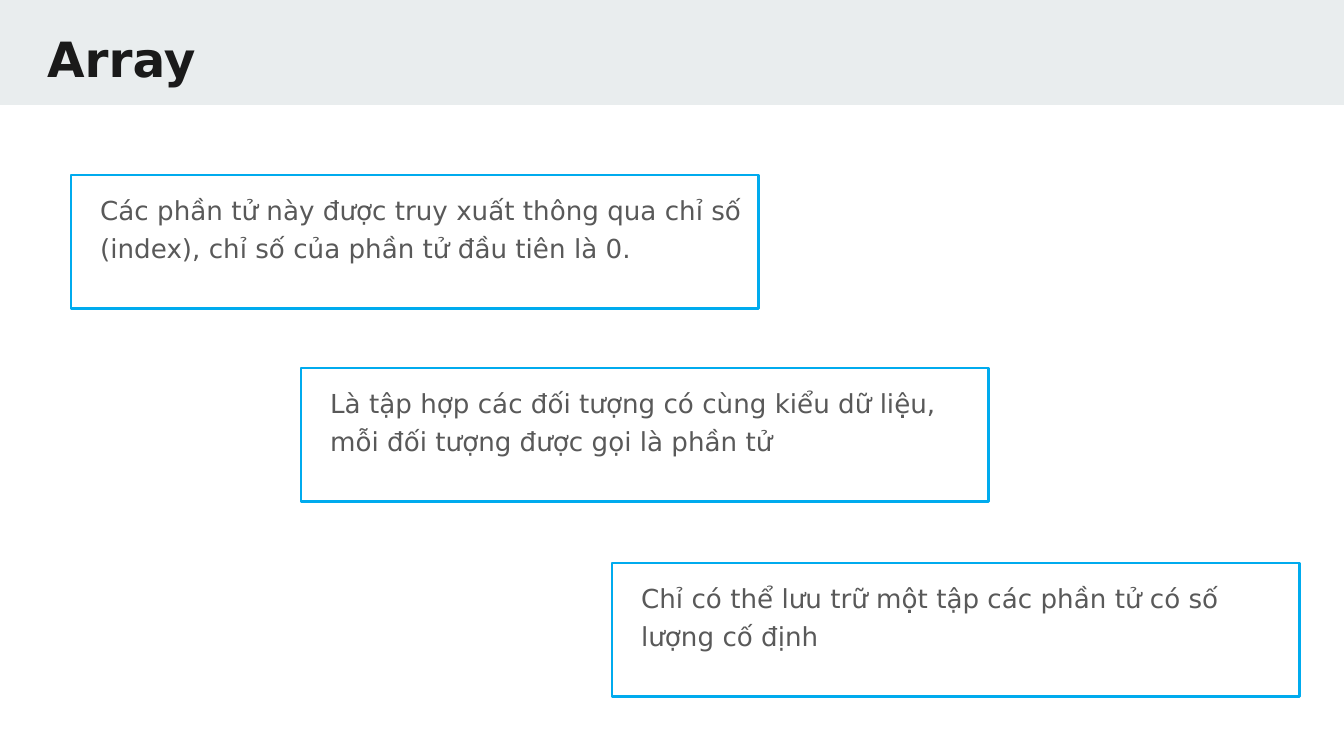
from dataclasses import dataclass

from pptx import Presentation
from pptx import util as u
from pptx.dml.color import RGBColor
from pptx.enum import shapes, text

PX = u.Inches(1) / 134.4
FONT = "DejaVu Sans"
COLORS = {"band": "E9EDEE", "border": "00ABEE", "title": "1A1A1A", "body": "595959"}
SLIDE_W, SLIDE_H = 1344, 756
CARD_W, CARD_H = 688, 134
INDENT = 16


@dataclass
class Card:
    x: int
    y: int
    text: str


CARDS = [
    Card(301, 368, "Là tập hợp các đối tượng có cùng kiểu dữ liệu, mỗi đối tượng được gọi là phần tử"),
    Card(612, 563, "Chỉ có thể lưu trữ một tập các phần tử có số lượng cố định"),
    Card(71, 175, "Các phần tử này được truy xuất thông qua chỉ số (index), chỉ số của phần tử đầu tiên là 0."),
]


def px(n: int) -> int:
    return round(n * PX)


def color(name: str) -> RGBColor:
    return RGBColor.from_string(COLORS[name])


def add_rect(s, x: int, y: int, w: int, h: int):
    sp = s.shapes.add_shape(shapes.MSO_SHAPE.RECTANGLE, px(x), px(y), px(w), px(h))
    sp.shadow.inherit = False
    return sp


def set_text(sp, content: str, size: int, color_name: str, bold: bool = False):
    tf = sp.text_frame
    tf.word_wrap = True
    tf.vertical_anchor = text.MSO_ANCHOR.TOP
    tf.margin_left = tf.margin_top = tf.margin_right = tf.margin_bottom = u.Inches(0.1)
    tf.text = content
    p = tf.paragraphs[0]
    p.alignment = text.PP_ALIGN.LEFT
    font = p.runs[0].font
    font.name, font.size, font.bold = FONT, u.Pt(size), bold
    font.color.rgb = color(color_name)
    return p


def add_band(s) -> None:
    sp = add_rect(s, 0, 0, SLIDE_W, 105)
    sp.fill.solid()
    sp.fill.fore_color.rgb = color("band")
    sp.line.fill.background()


def add_title(s, content: str) -> None:
    sp = s.shapes.add_textbox(px(34), px(16), px(1279), px(79))
    set_text(sp, content, 26, "title", bold=True)


def add_card(s, card: Card) -> None:
    sp = add_rect(s, card.x, card.y, CARD_W, CARD_H)
    sp.fill.background()
    sp.line.color.rgb = color("border")
    sp.line.width = u.Pt(1.5)
    p = set_text(sp, card.text, 14, "body")
    p.line_spacing = 1.2
    p.space_before = p.space_after = u.Pt(6)
    pPr = p._p.get_or_add_pPr()
    pPr.set("marL", str(px(INDENT)))
    pPr.set("indent", "0")


def main() -> None:
    prs = Presentation()
    prs.slide_width, prs.slide_height = px(SLIDE_W), px(SLIDE_H)
    s = prs.slides.add_slide(prs.slide_layouts[6])
    add_band(s)
    add_title(s, "Array")
    for card in CARDS:
        add_card(s, card)
    prs.save("out.pptx")


main()
